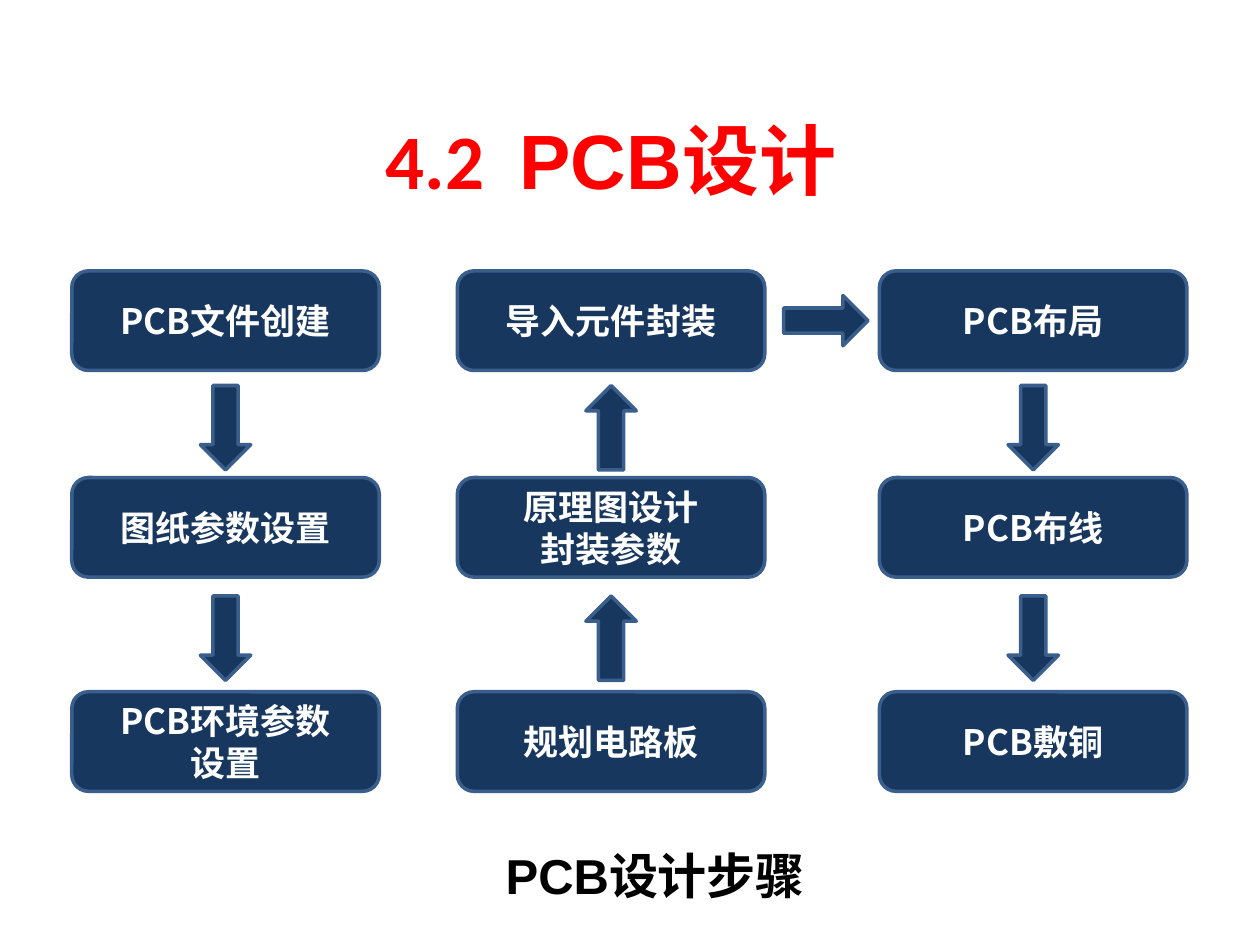
import dataclasses

import pptx
import pptx.dml.color
import pptx.enum.shapes
import pptx.enum.text
import pptx.oxml
import pptx.oxml.ns
import pptx.util

Inches = pptx.util.Inches
SHAPE = pptx.enum.shapes.MSO_SHAPE


@dataclasses.dataclass(frozen=True)
class Theme:
    red: str = "FF0000"
    black: str = "000000"
    white: str = "FFFFFF"
    fill: str = "17375E"
    line: str = "3A5F8C"
    line_width: float = 2
    title_size: int = 44
    caption_size: int = 28
    step_size: int = 20
    title_font: str = "Calibri"
    caption_font: str = "Arial"
    cjk_font: str = "Noto Sans CJK SC"


THEME = Theme()
COLUMNS = (0.57, 3.63, 6.98)
ROWS = (2.15, 3.79, 5.49)
BOX_W, BOX_H = 2.44, 0.79
ARROW_W, ARROW_H = 0.67, 0.4
ARROW_SHIFT = 0.03  # right of and below the exact middle of a gap

# One list per column, from top to bottom.
STEPS = (
    ("PCB文件创建", "图纸参数设置", "PCB环境参数\n设置"),
    ("导入元件封装", "原理图设计\n封装参数", "规划电路板"),
    ("PCB布局", "PCB布线", "PCB敷铜"),
)
FLOW_ANGLES = (90, 270, 90)  # down, up, down


def rgb(color):
    return pptx.dml.color.RGBColor.from_string(color)


def format_run(r, size, color, font):
    """Set a bold run, with one East Asian font throughout."""
    r.font.size = pptx.util.Pt(size)
    r.font.bold = True
    r.font.color.rgb = rgb(color)
    r.font.name = font
    ea = pptx.oxml.parse_xml(
        f'<a:ea {pptx.oxml.ns.nsdecls("a")} typeface="{THEME.cjk_font}"/>')
    r.font._element.find(pptx.oxml.ns.qn("a:latin")).addnext(ea)


def set_text(tf, text, size, color, font, anchor="MIDDLE"):
    tf.word_wrap = True
    tf.vertical_anchor = pptx.enum.text.MSO_ANCHOR[anchor]
    tf.text = text
    for p in tf.paragraphs:
        p.alignment = pptx.enum.text.PP_ALIGN.CENTER
        for r in p.runs:
            format_run(r, size, color, font)


def add_title(s):
    sp = s.shapes.title
    sp.left, sp.top, sp.width, sp.height = map(Inches, (0.35, 0.63, 9, 1.26))
    tf = sp.text_frame
    set_text(tf, "4.2", THEME.title_size, THEME.red, THEME.title_font)
    p = tf.paragraphs[0]
    for text, font in ((" ", THEME.title_font), ("PCB", THEME.caption_font),
                       ("设计", THEME.title_font)):
        r = p.add_run()
        r.text = text
        format_run(r, THEME.title_size, THEME.red, font)
    # Widen the gap after the section number.
    p.runs[1].font._element.set("spc", "1000")


def add_caption(s):
    sp = s.shapes.add_textbox(*map(Inches, (2.01, 6.66, 6.38, 0.57)))
    set_text(sp.text_frame, "PCB设计步骤", THEME.caption_size, THEME.black,
             THEME.caption_font, "TOP")


def add_block(s, kind, x, y, w, h):
    sp = s.shapes.add_shape(kind, *map(Inches, (x, y, w, h)))
    sp.shadow.inherit = False
    sp.fill.solid()
    sp.fill.fore_color.rgb = rgb(THEME.fill)
    sp.line.color.rgb = rgb(THEME.line)
    sp.line.width = pptx.util.Pt(THEME.line_width)
    return sp


def add_step(s, col, row, text):
    sp = add_block(s, SHAPE.ROUNDED_RECTANGLE, COLUMNS[col], ROWS[row],
                   BOX_W, BOX_H)
    set_text(sp.text_frame, text, THEME.step_size, THEME.white, THEME.cjk_font)


def add_arrow(s, cx, cy, angle=0):
    sp = add_block(s, SHAPE.RIGHT_ARROW, cx - ARROW_W / 2, cy - ARROW_H / 2,
                   ARROW_W, ARROW_H)
    sp.rotation = angle


def gap_middle(start, end, size):
    return (start + size + end) / 2 + ARROW_SHIFT


def main():
    prs = pptx.Presentation()
    prs.slide_width, prs.slide_height = Inches(10), Inches(7.5)
    s = prs.slides.add_slide(prs.slide_layouts[5])
    add_title(s)
    add_caption(s)
    for col, steps in enumerate(STEPS):
        for row, text in enumerate(steps):
            add_step(s, col, row, text)
    for x, angle in zip(COLUMNS, FLOW_ANGLES):
        for upper, lower in zip(ROWS, ROWS[1:]):
            add_arrow(s, x + BOX_W / 2, gap_middle(upper, lower, BOX_H), angle)
    add_arrow(s, gap_middle(COLUMNS[1], COLUMNS[2], BOX_W), ROWS[0] + BOX_H / 2)
    prs.save("out.pptx")


if __name__ == "__main__":
    main()
